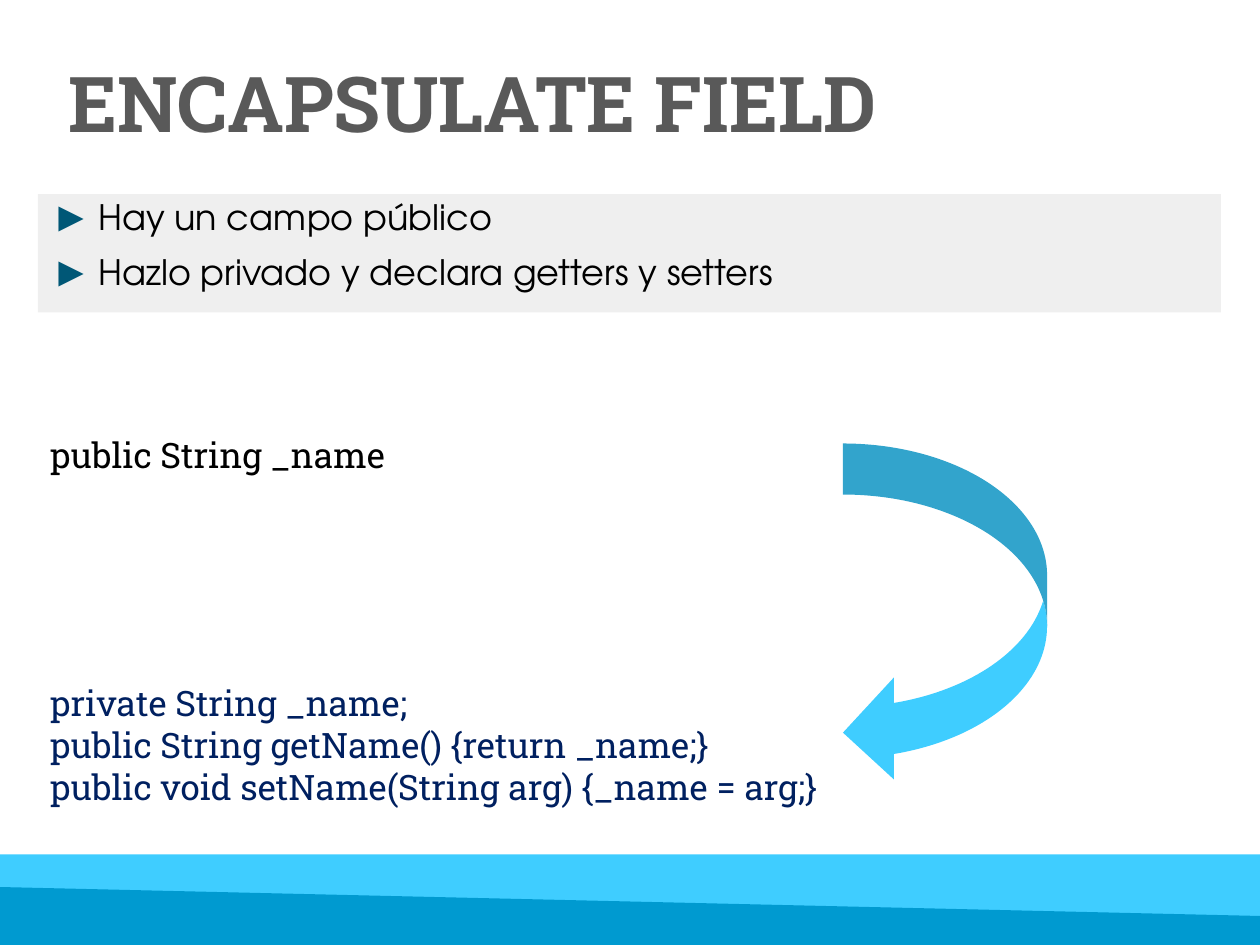
from lxml import etree
from pptx import Presentation
from pptx.dml.color import RGBColor
from pptx.enum.shapes import MSO_SHAPE
from pptx.enum.text import MSO_ANCHOR, MSO_AUTO_SIZE, PP_ALIGN
from pptx.oxml.ns import qn
from pptx.util import Inches, Pt

RECTANGLE = MSO_SHAPE.RECTANGLE
CURVED_ARROW = MSO_SHAPE.CURVED_LEFT_ARROW
TOP, MIDDLE = MSO_ANCHOR.TOP, MSO_ANCHOR.MIDDLE
NO_AUTOFIT = MSO_AUTO_SIZE.NONE
LEFT = PP_ALIGN.LEFT

SKY = RGBColor(0x3F, 0xCD, 0xFF)
OCEAN = RGBColor(0x00, 0x9A, 0xD0)
TEAL = RGBColor(0x00, 0x57, 0x76)
NAVY = RGBColor(0x00, 0x20, 0x60)
GRAY = RGBColor(0x59, 0x59, 0x59)
PALE = RGBColor(0xD9, 0xD9, 0xD9)
BLACK = RGBColor(0, 0, 0)

SLAB, SANS = "Roboto Slab", "TeX Gyre Adventor"
WIDTH, HEIGHT = 10, 7.5

TITLE = ["ENCAPSULATE FIELD"]
STEPS = ["Hay un campo público", "Hazlo privado y declara getters y setters"]
BEFORE = ["public String _name"]
AFTER = [
    "private String _name;",
    "public String getName() {return _name;}",
    "public void setName(String arg) {_name = arg;}",
]

TITLE_FONT = {"name": SLAB, "size": Pt(44), "bold": True}
STEP_FONT = {"name": SANS, "size": Pt(20), "bold": False}
CODE_FONT = {"name": SLAB, "size": Pt(20), "bold": False}
TIGHT = {"alignment": LEFT, "line_spacing": 0.9, "space_before": Pt(0)}
SPACED = {**TIGHT, "space_before": Pt(10)}
PLAIN = {**TIGHT, "line_spacing": 1.0}

TITLE_AREA = (0.01, 0.13, 9.69, 1.45)
STEPS_AREA = (0.3, 1.54, 9.39, 0.94)
BEFORE_AREA = (0.3, 3.43, 5.93, 0.6)
AFTER_AREA = (0.3, 5.36, 6.4, 1.11)
BAND_AREA = (0, 6.78, WIDTH, HEIGHT - 6.78)
ARROW_AREA = (6.69, 3.52, 1.62, 2.7)
WAVE = [(0, 7.04), (WIDTH, 7.27), (WIDTH, HEIGHT), (0, HEIGHT)]
TITLE_INSET = 0.53
BULLET_INDENT = 0.38


def set_all(target, values):
    for name, value in values.items():
        setattr(target, name, value)


def place(box, area):
    names = ("left", "top", "width", "height")
    set_all(box, dict(zip(names, map(Inches, area))))


def write(box, lines, font, color, layout, anchor=TOP):
    frame = box.text_frame
    set_all(frame, {"word_wrap": True, "auto_size": NO_AUTOFIT, "vertical_anchor": anchor})
    frame.text = "\n".join(lines)
    for para in frame.paragraphs:
        set_all(para, layout)
        for span in para.runs:
            set_all(span.font, font)
            span.font.color.rgb = color


def paint(shape, color):
    shape.shadow.inherit = False
    shape.fill.solid()
    shape.fill.fore_color.rgb = color
    shape.line.fill.background()


def add_bullet(para):
    props = para._p.get_or_add_pPr()
    props.set("marL", str(Inches(BULLET_INDENT)))
    props.set("indent", str(-Inches(BULLET_INDENT)))
    color = etree.SubElement(props, qn("a:buClr"))
    etree.SubElement(color, qn("a:srgbClr"), val=str(TEAL))
    etree.SubElement(props, qn("a:buSzPct"), val="120000")
    etree.SubElement(props, qn("a:buFont"), typeface="Arial")
    etree.SubElement(props, qn("a:buChar"), char="►")


def build():
    deck = Presentation()
    deck.slide_width, deck.slide_height = Inches(WIDTH), Inches(HEIGHT)
    page = deck.slides.add_slide(deck.slide_layouts[1])
    title, steps = page.placeholders

    place(title, TITLE_AREA)
    write(title, TITLE, TITLE_FONT, GRAY, TIGHT, MIDDLE)
    title.text_frame.margin_left = Inches(TITLE_INSET)

    place(steps, STEPS_AREA)
    steps.fill.solid()
    steps.fill.fore_color.rgb = PALE
    tint = steps.fill._xPr.find(qn("a:solidFill"))[0]
    etree.SubElement(tint, qn("a:alpha"), val="40000")
    write(steps, STEPS, STEP_FONT, BLACK, SPACED)
    for para in steps.text_frame.paragraphs:
        add_bullet(para)

    for area, lines, color, layout in (
        (BEFORE_AREA, BEFORE, BLACK, SPACED),
        (AFTER_AREA, AFTER, NAVY, PLAIN),
    ):
        code = page.shapes.add_textbox(*map(Inches, area))
        write(code, lines, CODE_FONT, color, layout)

    for kind, area in ((RECTANGLE, BAND_AREA), (CURVED_ARROW, ARROW_AREA)):
        paint(page.shapes.add_shape(kind, *map(Inches, area)), SKY)

    corners = [(Inches(x), Inches(y)) for x, y in WAVE]
    outline = page.shapes.build_freeform(*corners[0])
    outline.add_line_segments(corners[1:], close=True)
    paint(outline.convert_to_shape(), OCEAN)

    deck.save("out.pptx")


if __name__ == "__main__":
    build()
